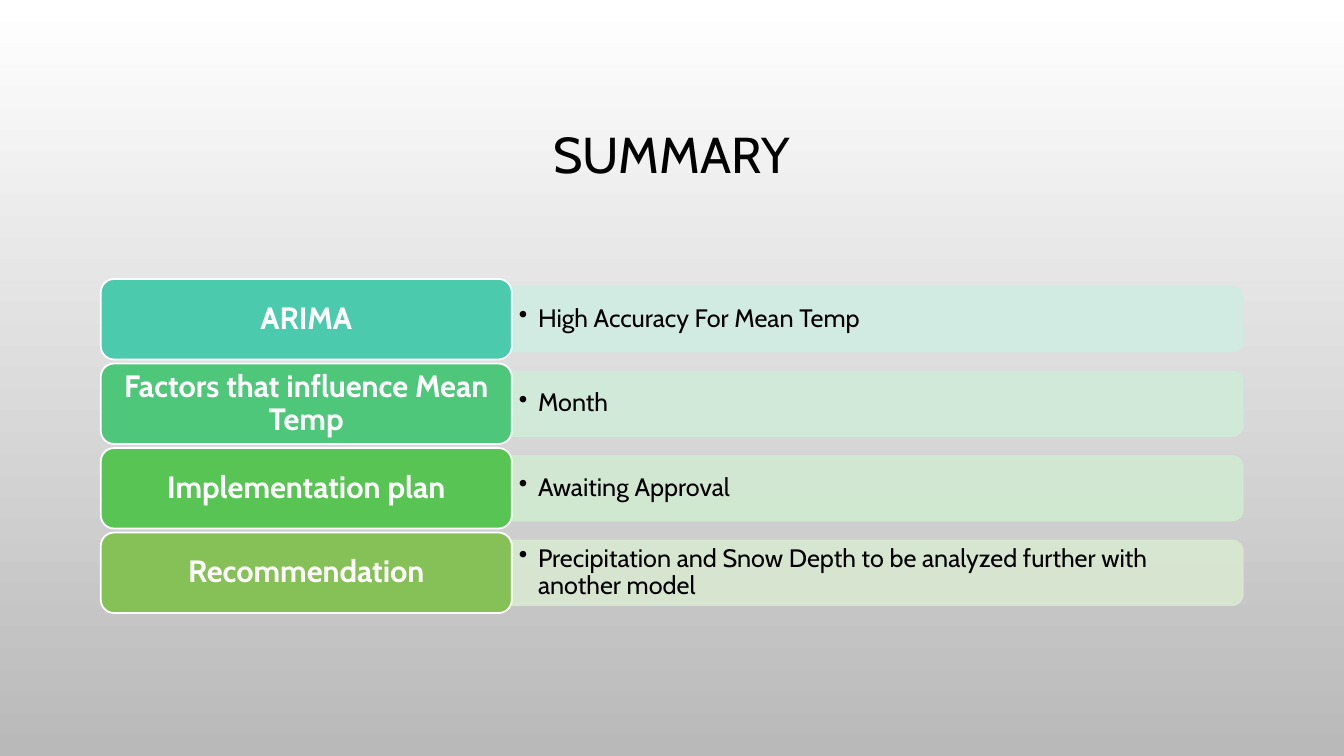
from lxml import etree
from pptx import Presentation
from pptx.dml.color import RGBColor
from pptx.enum.shapes import MSO_SHAPE as Shape
from pptx.enum.text import MSO_ANCHOR as Anchor, PP_ALIGN as Align
from pptx.oxml.ns import qn
from pptx.util import Cm, Pt

# Content: topic, finding, topic colour, finding colour
TITLE = "SUMMARY"
ROWS = [
    ("ARIMA", "High Accuracy For Mean Temp", "4BCAAD", "D0ECE3"),
    ("Factors that influence Mean Temp", "Month", "4FC77B", "D0EBD9"),
    ("Implementation plan", "Awaiting Approval", "57C453", "D1EAD1"),
    ("Recommendation",
     "Precipitation and Snow Depth to be analyzed further with another model",
     "86C157", "D9E9D1"),
]
BACKGROUND = ["FFFFFF", "B9B9B9"]
FONT = "Cabin"

# Layout, in centimetres
LEFT, TOP, PITCH = 2.54, 7.03, 2.13
TOPIC_W, TOPIC_H = 10.36, 2.03
FINDING_W, FINDING_H = 18.42, 1.63


def color(code):
    return RGBColor.from_string(code)


def paint(shape, fill, line, alpha=None):
    shape.shadow.inherit = False
    shape.fill.solid()
    shape.fill.fore_color.rgb = color(fill)
    shape.line.color.rgb = color(line)
    shape.line.width = Pt(1.25)
    if alpha:
        for tint in shape._element.spPr.iter(qn("a:srgbClr")):
            etree.SubElement(tint, qn("a:alpha"), val=str(alpha * 1000))


def write(shape, text, size, code, align, margins, bold=False):
    frame = shape.text_frame
    frame.word_wrap = True
    frame.vertical_anchor = Anchor.MIDDLE
    side, edge = margins
    frame.margin_left = frame.margin_right = Cm(side)
    frame.margin_top = frame.margin_bottom = Cm(edge)
    paragraph = frame.paragraphs[0]
    paragraph.alignment = align
    paragraph.line_spacing = 0.9
    run = paragraph.add_run()
    run.text = text
    run.font.name = FONT
    run.font.size = Pt(size)
    run.font.bold = bold
    run.font.color.rgb = color(code)
    return paragraph


def add_bullet(paragraph, indent):
    props = paragraph._p.get_or_add_pPr()
    props.set("marL", str(Cm(indent)))
    props.set("indent", str(-Cm(indent)))
    etree.SubElement(props, qn("a:buChar"), char="•")


prs = Presentation()
prs.slide_width, prs.slide_height = Cm(33.87), Cm(19.05)
slide = prs.slides.add_slide(prs.slide_layouts[6])
shapes = slide.shapes

# Background, light at the top
backdrop = slide.background.fill
backdrop.gradient()
backdrop.gradient_angle = 270
for stop, code, position in zip(backdrop.gradient_stops, BACKGROUND, (0, 1)):
    stop.color.rgb = color(code)
    stop.position = position

# Title
heading = shapes.add_textbox(Cm(LEFT), Cm(1.73), Cm(28.78), Cm(4.45))
write(heading, TITLE, 36, "000000", Align.CENTER, (0.25, 0.13))

# Rows: a topic block with its finding on a strip to the right
finding_left = LEFT + TOPIC_W
for index, (topic, finding, topic_fill, strip_fill) in enumerate(ROWS):
    top = TOP + index * PITCH
    middle = top + TOPIC_H / 2

    # The strip is upright before its quarter turn about the centre
    strip = shapes.add_shape(
        Shape.ROUND_2_SAME_RECTANGLE,
        Cm(finding_left + (FINDING_W - FINDING_H) / 2),
        Cm(middle - FINDING_W / 2), Cm(FINDING_H), Cm(FINDING_W))
    strip.rotation = 90
    paint(strip, strip_fill, strip_fill, alpha=90)

    note = shapes.add_textbox(Cm(finding_left), Cm(middle - 0.74),
                              Cm(18.34), Cm(1.48))
    add_bullet(write(note, finding, 18, "000000", Align.LEFT, (0.18, 0.1)), 0.48)

    block = shapes.add_shape(Shape.ROUNDED_RECTANGLE, Cm(LEFT), Cm(top),
                             Cm(TOPIC_W), Cm(TOPIC_H))
    paint(block, topic_fill, "FFFFFF")
    write(block, topic, 22, "FFFFFF", Align.CENTER, (0.23, 0.13), bold=True)

prs.save("out.pptx")
